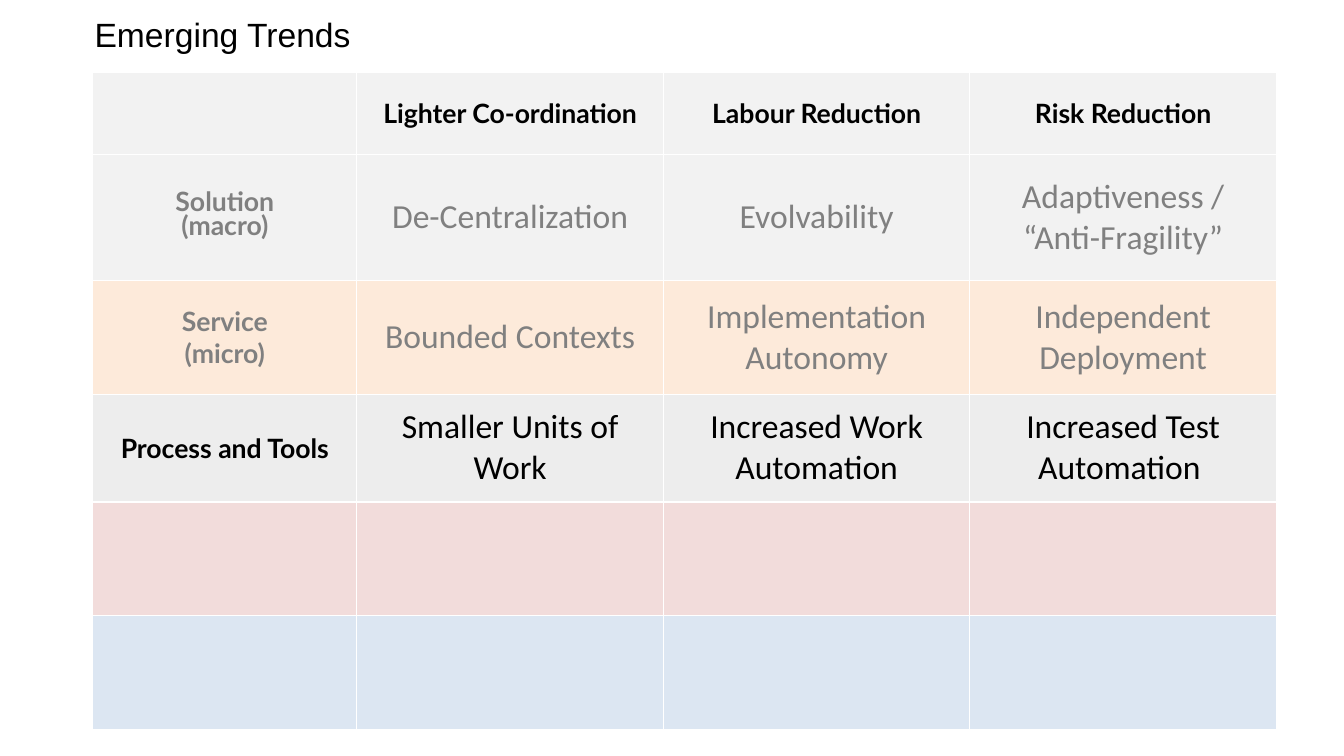
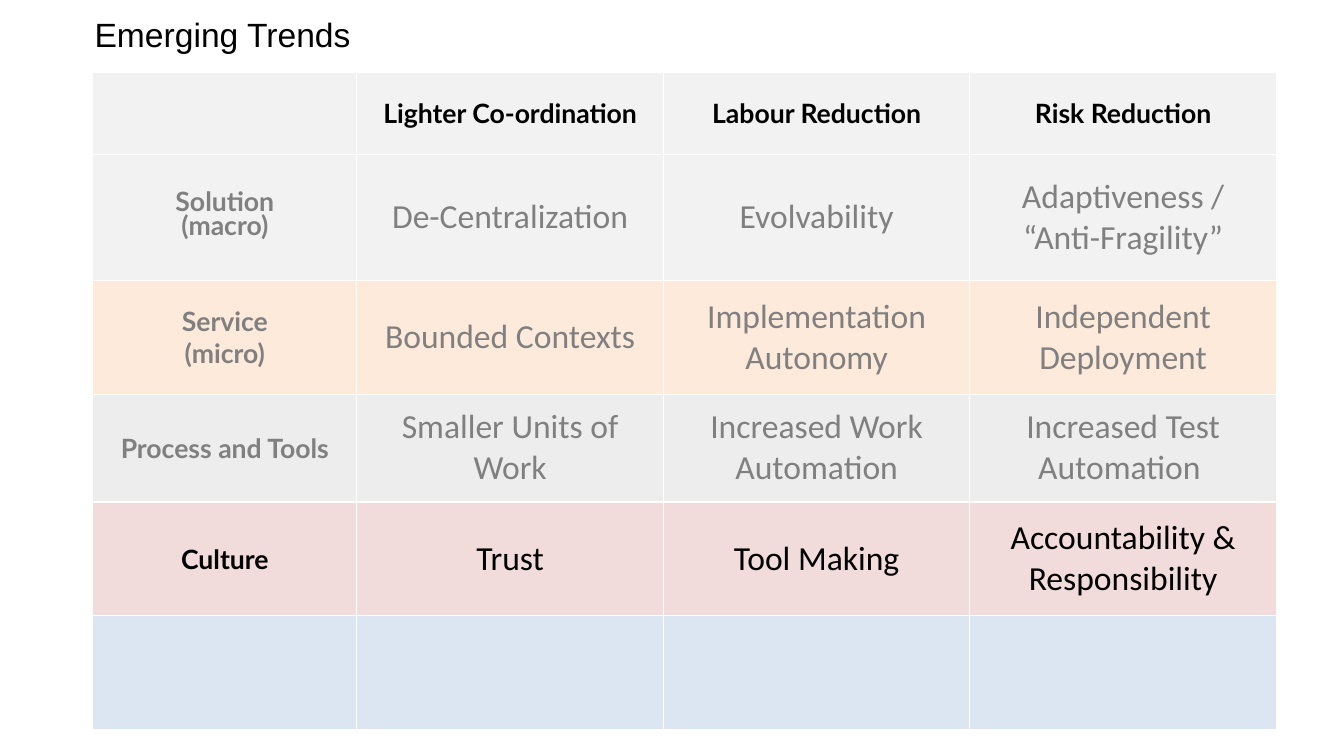
import pptx
import pptx.dml.color
import pptx.enum.text
import pptx.oxml
import pptx.oxml.ns
import pptx.util

SLIDE_WIDTH, SLIDE_HEIGHT = 13.33, 7.5
GRID_LEFT, GRID_TOP = 0.92, 0.72
COLUMN_WIDTHS = [2.62] + [3.04] * 3
ROW_HEIGHTS = [0.81, 1.25, 1.13, 1.07, 1.13, 1.13]
ROW_FILLS = ["F2F2F2", "F2F2F2", "FDEADA", "EDEDED", "F2DCDB", "DCE6F2"]
BLACK, MUTED, WHITE = "000000", "808080", "FFFFFF"
LABEL_STYLE = ("Lato", 19, True)
TREND_STYLE = ("Calibri", 24, False)
TIGHT_LABEL, TIGHT_SPACING = "Solution\n(macro)", 17.2

TRENDS = [
    ["", "Lighter Co-ordination", "Labour Reduction", "Risk Reduction"],
    [TIGHT_LABEL, "De-Centralization", "Evolvability", "Adaptiveness / “Anti-Fragility”"],
    ["Service\n(micro)", "Bounded Contexts", "Implementation Autonomy", "Independent Deployment"],
    ["Process and Tools", "Smaller Units of Work", "Increased Work Automation",
     "Increased Test Automation "],
    ["Culture", "Trust", "Tool Making", "Accountability & Responsibility"],
]


def color(hex_string):
    return pptx.dml.color.RGBColor.from_string(hex_string)


def format_runs(paragraph, style, hex_string):
    for run in paragraph.runs:
        run.font.name, run.font.size, run.font.bold = style[0], pptx.util.Pt(style[1]), style[2]
        run.font.color.rgb = color(hex_string)


def add_title(slide, text):
    title = slide.shapes.add_textbox(
        *map(pptx.util.Inches, (0.84, 0.09, 3.44, 0.5)))
    title.text_frame.word_wrap = True
    title.text_frame.text = text
    format_runs(title.text_frame.paragraphs[0], ("Arial", 24, False), BLACK)


def add_borders(cell, hex_string, points):
    properties = cell._tc.get_or_add_tcPr()
    for side in ("lnL", "lnR", "lnT", "lnB"):
        properties.append(pptx.oxml.parse_xml(
            f'<a:{side} {pptx.oxml.ns.nsdecls("a")} w="{pptx.util.Pt(points)}">'
            f'<a:solidFill><a:srgbClr val="{hex_string}"/></a:solidFill></a:{side}>'))


def fill_cell(cell, text, style, text_color, background):
    add_borders(cell, WHITE, 1)
    cell.fill.solid()
    cell.fill.fore_color.rgb = color(background)
    cell.vertical_anchor = pptx.enum.text.MSO_ANCHOR.MIDDLE
    cell.margin_left = cell.margin_right = pptx.util.Inches(0.13)
    cell.margin_top = cell.margin_bottom = pptx.util.Inches(0.07)
    if not text:
        return
    cell.text_frame.text = text
    for paragraph in cell.text_frame.paragraphs:
        paragraph.alignment = pptx.enum.text.PP_ALIGN.CENTER
        if text == TIGHT_LABEL:
            paragraph.line_spacing = pptx.util.Pt(TIGHT_SPACING)
        format_runs(paragraph, style, text_color)


def add_trend_table(slide, current_row):
    table = slide.shapes.add_table(
        len(ROW_HEIGHTS), len(COLUMN_WIDTHS),
        *map(pptx.util.Inches,
             (GRID_LEFT, GRID_TOP, sum(COLUMN_WIDTHS), sum(ROW_HEIGHTS)))).table
    table.first_row = table.horz_banding = False
    for column, width in zip(table.columns, COLUMN_WIDTHS):
        column.width = pptx.util.Inches(width)
    for row_index, height in enumerate(ROW_HEIGHTS):
        table.rows[row_index].height = pptx.util.Inches(height)
        shown = row_index <= current_row
        text_color = BLACK if row_index in (0, current_row) else MUTED
        for column_index in range(len(COLUMN_WIDTHS)):
            text = TRENDS[row_index][column_index] if shown else ""
            is_label = row_index == 0 or column_index == 0
            fill_cell(table.cell(row_index, column_index), text,
                      LABEL_STYLE if is_label else TREND_STYLE,
                      text_color, ROW_FILLS[row_index])


def main():
    presentation = pptx.Presentation()
    presentation.slide_width = pptx.util.Inches(SLIDE_WIDTH)
    presentation.slide_height = pptx.util.Inches(SLIDE_HEIGHT)
    for current_row in (3, 4):
        slide = presentation.slides.add_slide(presentation.slide_layouts[6])
        add_trend_table(slide, current_row)
        add_title(slide, "Emerging Trends")
    presentation.save("out.pptx")


if __name__ == "__main__":
    main()
